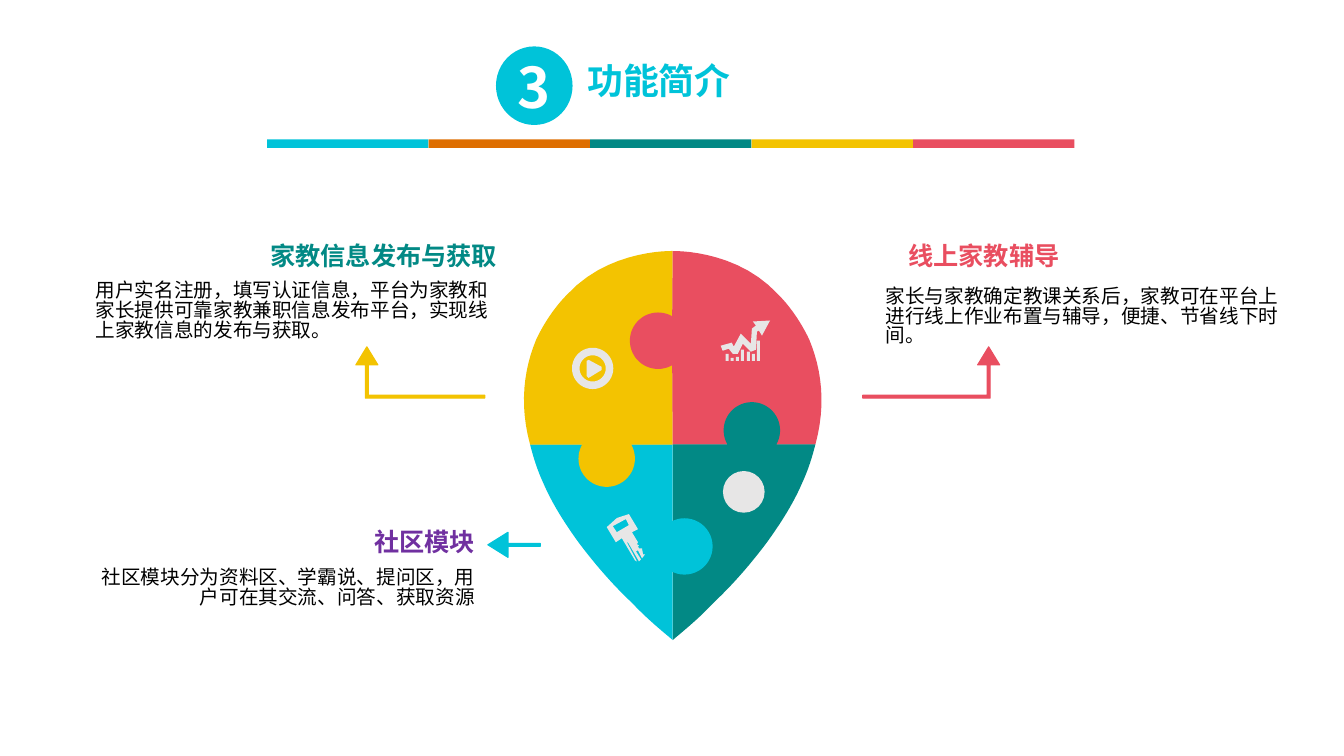
import dataclasses
import math

import pptx
import pptx.dml.color
import pptx.enum.shapes
import pptx.enum.text
import pptx.oxml
import pptx.oxml.ns
import pptx.util
from pptx.util import Cm


@dataclasses.dataclass(frozen=True)
class Theme:
    cyan: str = "00C3D9"
    orange: str = "DE6E00"
    teal: str = "028985"
    yellow: str = "F3C301"
    red: str = "E94E60"
    purple: str = "7030A0"
    icon: str = "E7E6E6"
    white: str = "FFFFFF"
    black: str = "000000"
    font: str = "Noto Sans CJK SC"
    heading_font: str = "Calibri"
    number_size: int = 40
    title_size: int = 32
    heading_size: int = 18
    body_size: int = 14


THEME = Theme()
ALIGN = pptx.enum.text.PP_ALIGN
SHAPES = pptx.enum.shapes.MSO_SHAPE
DRAWING_UNIT = Cm(2.54) / 100
PIN_AXIS = 667.5
PIN_SEAM = 441
PIN_TOP = 249
PIN_TIP = 635
KNOB_RADIUS = 28


def rgb(color):
    return pptx.dml.color.RGBColor.from_string(color)


def write(shape, text, *, size, color, font=THEME.font, bold=False,
          align=ALIGN.LEFT, spacing=None, small_caps=False):
    para = shape.text_frame.paragraphs[0]
    para.alignment = align
    para.line_spacing = spacing
    span = para.add_run()
    span.text = text
    span.font.size = pptx.util.Pt(size)
    span.font.bold = bold
    span.font.name = font
    span.font.color.rgb = rgb(color)
    properties = span._r.get_or_add_rPr()
    properties.set("lang", "zh-CN")
    if small_caps:
        properties.set("cap", "small")
    east_asian = pptx.oxml.parse_xml(f'<a:ea {pptx.oxml.ns.nsdecls("a")} typeface="{font}"/>')
    properties.find(pptx.oxml.ns.qn("a:latin")).addnext(east_asian)


def paint(shape, color, outlined=False):
    shape.shadow.inherit = False
    shape.fill.solid()
    shape.fill.fore_color.rgb = rgb(color)
    if outlined:
        shape.line.color.rgb = rgb(color)
        shape.line.width = pptx.util.Pt(0.75)
    else:
        shape.line.fill.background()


def add_preset(page, kind, left, top, width, height, color):
    shape = page.shapes.add_shape(kind, Cm(left), Cm(top), Cm(width), Cm(height))
    paint(shape, color)
    return shape


def add_outline(page, contours, color, outlined=False):
    scaled = [[(x * DRAWING_UNIT, y * DRAWING_UNIT) for x, y in contour] for contour in contours]
    builder = page.shapes.build_freeform(*scaled[0][0], scale=1.0)
    for index, points in enumerate(scaled):
        if index:
            builder.move_to(*points[0])
        builder.add_line_segments(points[1:], close=True)
    paint(builder.convert_to_shape(), color, outlined)


def arc(x, y, radius, start, sweep):
    angles = [math.radians(start + sweep * step / 40) for step in range(41)]
    return [(x + radius * math.cos(angle), y + radius * math.sin(angle)) for angle in angles]


def trace(start, *curves, steps=12):
    points = [start]
    for x1, y1, x2, y2, x3, y3 in curves:
        x0, y0 = points[-1]
        for step in range(1, steps + 1):
            t = step / steps
            weights = ((1 - t) ** 3, 3 * t * (1 - t) ** 2, 3 * t * t * (1 - t), t ** 3)
            points.append((sum(w * x for w, x in zip(weights, (x0, x1, x2, x3))),
                           sum(w * y for w, y in zip(weights, (y0, y1, y2, y3)))))
    return points


def mirror(points):
    return [(2 * PIN_AXIS - x, y) for x, y in points]


def add_pin(page):
    upper = trace((526, PIN_SEAM), (515, 401, 520, 366, 532, 337), (540, 320, 551, 304, 563, 292),
                  (600, 252, 653, PIN_TOP, PIN_AXIS, PIN_TOP))
    lower = trace((526, PIN_SEAM), (529, 453, 533, 466, 539, 479), (548, 500, 561, 520, 574, 538),
                  (592, 562, 609, 581, 627, 598), (643, 615, 657, 626, PIN_AXIS, PIN_TIP))
    center = [(PIN_AXIS, PIN_SEAM)]
    pieces = (
        (THEME.cyan, lower + center),
        (THEME.yellow, upper + center + arc(602, 455, KNOB_RADIUS, -30, 240)),
        (THEME.red, mirror(upper) + arc(653, 338, KNOB_RADIUS, -60, -240) + center),
        (THEME.teal, mirror(lower) + center + arc(746, 427, KNOB_RADIUS, 150, 240)),
    )
    for color, points in pieces:
        add_outline(page, [points], color)
    add_preset(page, SHAPES.OVAL, 16.54, 13.06, 1.42, 1.42, THEME.cyan)


def add_icons(page):
    play = [arc(588, 365.5, 20.5, 0, 360), arc(588, 365.5, 13, 0, 360),
            [(582, 358), (584, 357), (597, 364), (597, 367), (584, 375), (582, 373)]]
    key = [[(602, 523), (612, 514), (624, 510), (633, 525), (627, 528), (633, 538), (632, 540),
            (634, 541), (633, 542), (634, 544), (637, 544), (638, 550), (640, 550), (637, 554),
            (633, 546), (631, 547), (636, 555), (634, 557), (623, 538), (622, 538), (632, 557),
            (630, 556), (617, 534), (611, 538)],
           [(608, 522), (612, 528), (624, 521), (621, 515)]]
    trend = [(764, 318), (756, 333), (753, 328), (751, 329), (750, 347), (745, 349), (737, 341),
             (732, 351), (727, 351), (723, 346), (717, 348), (715, 343), (726, 340), (728, 344),
             (735, 331), (745, 341), (746, 326), (750, 323), (747, 319)]
    bar_tops = ((720, 351), (725, 355), (730, 354), (735, 347), (741, 349), (746, 351), (751, 338))
    bars = [[(x, 358), (x, top), (x + 3, top), (x + 3, 358)] for x, top in bar_tops]
    for contours in (play, key, [trend] + bars):
        add_outline(page, contours, THEME.icon)
    add_preset(page, SHAPES.OVAL, 18.22, 11.87, 1.05, 1.05, THEME.icon)


def add_bent_arrow(page, tip, tail, color):
    side = math.copysign(1, tail - tip)
    inner, outer = tip + 1.5 * side, tip - 1.5 * side
    points = [(tip, 344), (tip + 11 * side, 362), (inner, 362), (inner, 392), (tail, 392),
              (tail, 395), (outer, 395), (outer, 362), (tip - 11 * side, 362)]
    add_outline(page, [points], color, outlined=True)


def add_straight_arrow(page, color):
    points = [(536, 539), (536, 542), (504, 542), (504, 553), (484, 540.5), (504, 528), (504, 539)]
    add_outline(page, [points], color, outlined=True)


def add_text(page, text, left, top, width, height, *, wrap=True, **style):
    box = page.shapes.add_textbox(Cm(left), Cm(top), Cm(width), Cm(height))
    box.text_frame.word_wrap = wrap
    box.text_frame.auto_size = pptx.enum.text.MSO_AUTO_SIZE.SHAPE_TO_FIT_TEXT
    write(box, text, **style)


def add_feature(page, heading, heading_place, color, body, body_place, align=ALIGN.LEFT):
    add_text(page, heading, *heading_place, wrap=False, size=THEME.heading_size, color=color,
             font=THEME.heading_font, bold=True, align=ALIGN.RIGHT)
    add_text(page, body, *body_place, size=THEME.body_size, color=THEME.black,
             align=align, spacing=0.83)


def add_header(page):
    badge = add_preset(page, SHAPES.OVAL, 12.5, 1.17, 1.93, 1.98, THEME.cyan)
    badge.text_frame.vertical_anchor = pptx.enum.text.MSO_ANCHOR.MIDDLE
    write(badge, "3", size=THEME.number_size, color=THEME.white, bold=True, align=ALIGN.CENTER)
    title = page.shapes.title
    title.left, title.top, title.width, title.height = Cm(14.6), Cm(1.37), Cm(7.14), Cm(1.55)
    frame = title.text_frame
    frame.margin_left = frame.margin_right = Cm(0.2)
    frame.margin_top = frame.margin_bottom = Cm(0.1)
    frame.word_wrap = True
    frame.vertical_anchor = pptx.enum.text.MSO_ANCHOR.TOP
    frame.auto_size = pptx.enum.text.MSO_AUTO_SIZE.SHAPE_TO_FIT_TEXT
    write(title, "功能简介", size=THEME.title_size, color=THEME.cyan, bold=True,
          spacing=0.83, small_caps=True)
    stripes = (THEME.cyan, THEME.orange, THEME.teal, THEME.yellow, THEME.red)
    for index, color in enumerate(stripes):
        add_preset(page, SHAPES.RECTANGLE, 6.73 + 4.07 * index, 3.51, 4.07, 0.22, color)


def main():
    deck = pptx.Presentation()
    deck.slide_width, deck.slide_height = Cm(33.87), Cm(19.05)
    page = deck.slides.add_slide(deck.slide_layouts[5])
    add_header(page)
    add_bent_arrow(page, 364, 481, THEME.yellow)
    add_bent_arrow(page, 981, 856, THEME.red)
    add_straight_arrow(page, THEME.cyan)
    add_pin(page)
    add_icons(page)
    add_feature(page, "线上家教辅导", (22.2, 5.92, 4.75, 1.52), THEME.red,
                "家长与家教确定教课关系后，家教可在平台上进行线上作业布置与辅导，便捷、节省线下时间。",
                (22.07, 7.14, 10.46, 2.06))
    add_feature(page, "家教信息发布与获取", (5.82, 5.92, 6.96, 1.32), THEME.teal,
                "用户实名注册，填写认证信息，平台为家教和家长提供可靠家教兼职信息发布平台，实现线上家教信息的发布与获取。",
                (2.16, 6.99, 10.62, 2.06))
    add_feature(page, "社区模块", (8.99, 13.13, 3.23, 1.35), THEME.purple,
                "社区模块分为资料区、学霸说、提问区，用户可在其交流、问答、获取资源",
                (2.16, 14.22, 10.06, 1.9), align=ALIGN.RIGHT)
    deck.save("out.pptx")


if __name__ == "__main__":
    main()
